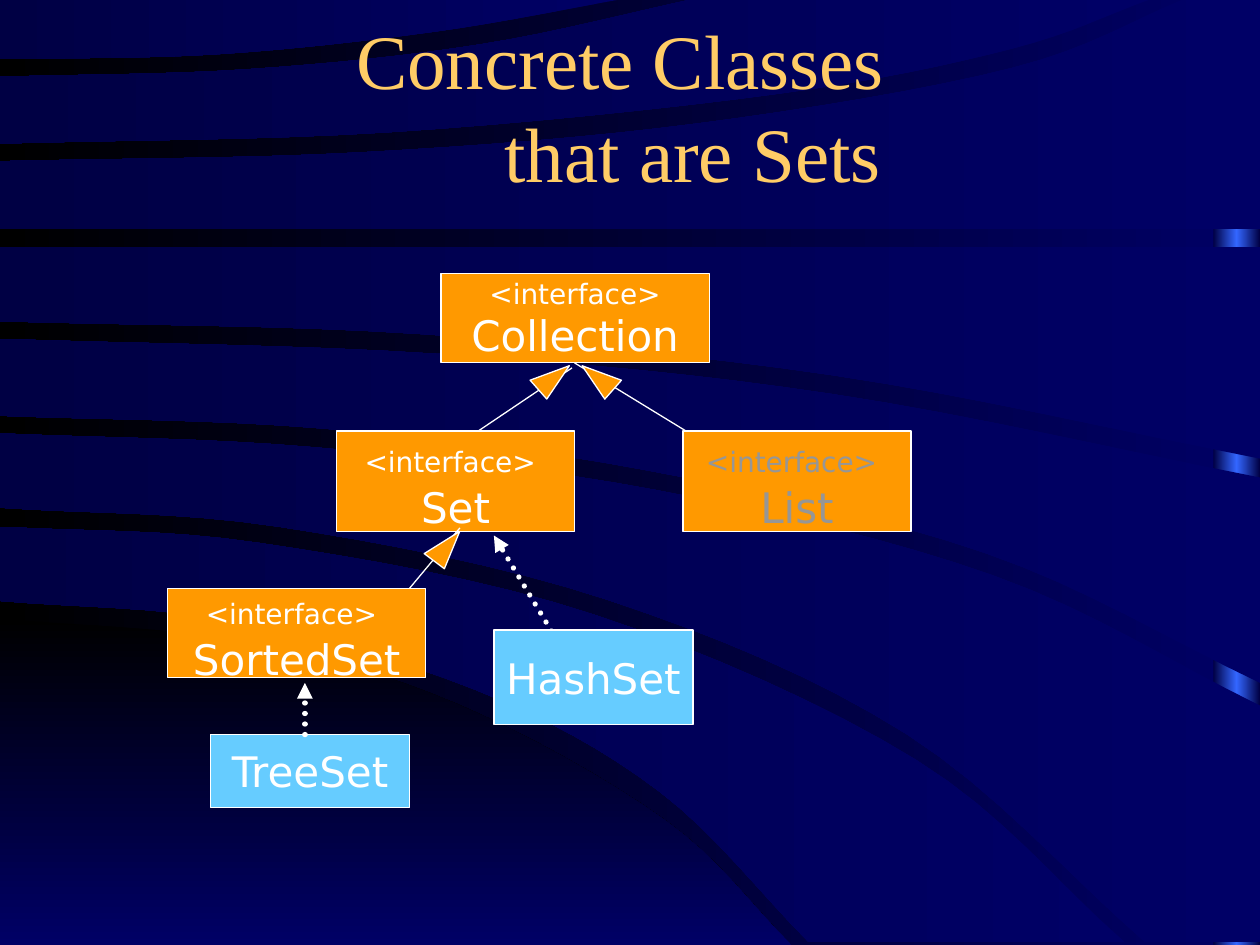
import copy
from dataclasses import dataclass

import pptx
import pptx.dml.color
import pptx.enum.dml
import pptx.enum.shapes
import pptx.enum.text
import pptx.oxml.ns
import pptx.util

Inches, Pt = pptx.util.Inches, pptx.util.Pt
SHAPE = pptx.enum.shapes.MSO_SHAPE
STRAIGHT = pptx.enum.shapes.MSO_CONNECTOR.STRAIGHT
CENTER = pptx.enum.text.PP_ALIGN.CENTER
MIDDLE = pptx.enum.text.MSO_ANCHOR.MIDDLE
rgb = pptx.dml.color.RGBColor.from_string
qn = pptx.oxml.ns.qn


@dataclass(frozen=True)
class Theme:
    navy: str = "000066"
    dark: str = "000044"
    black: str = "000000"
    glow: str = "3366FF"
    gold: str = "FFCC66"
    interface: str = "FF9900"
    concrete: str = "66CCFF"
    white: str = "FFFFFF"
    muted: str = "969696"
    serif: str = "Times New Roman"
    sans: str = "DejaVu Sans"
    title_size: int = 44
    name_size: int = 24
    label_size: int = 16
    thin: float = 0.75
    thick: float = 3


# Upper edge, lower edge and right-hand corners of each band, back to front
BANDS = [
    ([(0, 4.18), (2.06, 4.31), (4.72, 4.88), (7.27, 6.03), (8.93, 7.48)],
     [(0, 4.77), (1.85, 4.93), (3.76, 5.47), (5.23, 6.28), (6.42, 7.48)], []),
    ([(0, 3.44), (2.49, 3.55), (5.21, 3.89), (7.89, 4.57), (10, 5.6)],
     [(0, 4.03), (2.21, 4.18), (4.82, 4.76), (7.2, 5.83), (9.09, 7.48)], [(10, 7.48)]),
    ([(0, 2.69), (3.49, 2.81), (6.62, 3.13), (10, 3.79)],
     [(0, 3.3), (2.55, 3.4), (5.12, 3.73), (7.82, 4.39), (10, 5.42)], []),
    ([(0, 1.96), (10, 1.96)],
     [(0, 2.55), (3.32, 2.65), (6.62, 2.98), (10, 3.64)], []),
    ([(0, 1.28), (2.86, 1.21), (5.54, 0.98), (8.03, 0.54), (9.43, -0.02)],
     [(0, 1.82), (10, 1.82)], [(10, -0.02)]),
    ([(0, 0.61), (1.97, 0.55), (3.83, 0.35), (5.56, -0.02)],
     [(0, 1.14), (3.09, 1.05), (6.14, 0.75), (8.02, 0.39), (9.17, -0.02)], []),
    ([(0, -0.02), (5.01, -0.02)],
     [(0, 0.47), (1.73, 0.43), (3.46, 0.25), (5.01, -0.02)], []),
]
CORNER = ([(0, 4.91), (1.93, 5.09), (3.61, 5.58), (5.28, 6.51), (6.28, 7.5)],
          [(0, 7.5), (6.28, 7.5)], [])


def smooth(points, steps=8):
    """Catmull-Rom curve through the points, as a list of points."""
    def mirrored(end, near):
        return tuple(2 * e - n for e, n in zip(end, near))

    padded = [mirrored(points[0], points[1]), *points, mirrored(points[-1], points[-2])]
    curve = [points[0]]
    for quad in zip(padded, padded[1:], padded[2:], padded[3:]):
        for i in range(1, steps + 1):
            t = i / steps
            curve.append(tuple(
                b + t / 2 * (c - a + t * (2 * a - 5 * b + 4 * c - d
                                          + t * (3 * (b - c) + d - a)))
                for a, b, c, d in zip(*quad)))
    return curve


class SlideBuilder:
    def __init__(self, slide, theme):
        self.s, self.theme = slide, theme

    def gradient(self, fill, element, colors, angle=180):
        """Spread the colours evenly; element is the XML that holds the fill."""
        fill.gradient()
        fill.gradient_angle = angle
        stops = next(element.iter(qn("a:gsLst")))
        for _ in colors[2:]:
            stops.append(copy.deepcopy(stops[-1]))
        for i, (stop, color) in enumerate(zip(fill.gradient_stops, colors)):
            stop.position = i / (len(colors) - 1)
            stop.color.rgb = rgb(color)

    def background(self, colors):
        self.gradient(self.s.background.fill, self.s._element, colors)

    def preset(self, kind, x, y, w, h, color=None):
        sp = self.s.shapes.add_shape(kind, Inches(x), Inches(y), Inches(w), Inches(h))
        sp.shadow.inherit = False
        if color:
            sp.fill.solid()
            sp.fill.fore_color.rgb = rgb(color)
            sp.line.color.rgb = rgb(self.theme.white)
            sp.line.width = Pt(self.theme.thin)
        else:
            sp.line.fill.background()
        return sp

    def strip(self, x, y, w, h, colors):
        sp = self.preset(SHAPE.RECTANGLE, x, y, w, h)
        self.gradient(sp.fill, sp._element, colors)

    def band(self, upper, lower, corners, colors, angle=180):
        outline = smooth(lower) + corners + smooth(upper)[::-1]
        start, *rest = [(Inches(x), Inches(y)) for x, y in outline]
        builder = self.s.shapes.build_freeform(*start)
        builder.add_line_segments(rest, close=True)
        sp = builder.convert_to_shape()
        sp.shadow.inherit = False
        sp.line.fill.background()
        self.gradient(sp.fill, sp._element, colors, angle)

    def title(self, text, x, y, w, h):
        sp = self.s.shapes.title
        self.s.shapes._spTree.append(sp._element)  # in front of the backdrop
        sp.left, sp.top, sp.width, sp.height = map(Inches, (x, y, w, h))
        tf = sp.text_frame
        tf.text = text
        tf.vertical_anchor = MIDDLE
        p = tf.paragraphs[0]
        p.alignment = CENTER
        p.font.size, p.font.name = Pt(self.theme.title_size), self.theme.serif
        p.font.color.rgb = rgb(self.theme.gold)
        props = p._p.get_or_add_pPr()
        tabs = props.makeelement(qn("a:tabLst"), {})
        props.insert(0, tabs)
        for i in range(8):
            tabs.append(tabs.makeelement(
                qn("a:tab"), {"pos": str(int(Inches(i))), "algn": "l"}))

    def class_box(self, name, x, y, w, h, fill, label="", color=None, gap=""):
        """Box with a class name; gap is a space in the serif face after the label."""
        t = self.theme
        tf = self.preset(SHAPE.RECTANGLE, x, y, w, h, fill).text_frame
        tf.word_wrap, tf.vertical_anchor = False, MIDDLE
        p = tf.paragraphs[0]
        p.alignment = CENTER
        p.font.name, p.font.size = t.sans, Pt(t.name_size)
        p.font.color.rgb = rgb(color or t.white)
        if label:
            r = p.add_run()
            r.text, r.font.size = label, Pt(t.label_size)
            if gap:
                r = p.add_run()
                r.text, r.font.name = gap, t.serif
            p.add_line_break()
        p.add_run().text = name

    def line(self, start, end, width):
        c = self.s.shapes.add_connector(STRAIGHT, *map(Inches, start + end))
        c.line.color.rgb = rgb(self.theme.white)
        c.line.width = Pt(width)
        props = c._element.spPr
        props.append(props.makeelement(qn("a:effectLst"), {}))
        return c

    def extends(self, start, end, head, angle, adj=0.6):
        """Thin line with a large triangle centred on head."""
        self.line(start, end, self.theme.thin)
        w, h = 0.2, 0.31
        sp = self.preset(SHAPE.ISOSCELES_TRIANGLE, head[0] - w / 2, head[1] - h / 2,
                         w, h, self.theme.interface)
        sp.rotation, sp.adjustments[0] = angle, adj

    def implements(self, start, end):
        c = self.line(start, end, self.theme.thick)
        c.line.dash_style = pptx.enum.dml.MSO_LINE.ROUND_DOT
        ln = c._element.spPr.find(qn("a:ln"))
        ln.set("cap", "rnd")
        ln.append(ln.makeelement(qn("a:tailEnd"), {"type": "triangle"}))


def main():
    prs = pptx.Presentation()
    prs.slide_width, prs.slide_height = Inches(10), Inches(7.5)
    t = Theme()
    b = SlideBuilder(prs.slides.add_slide(prs.slide_layouts[5]), t)

    b.background([t.navy, t.black])
    b.strip(9.63, 0, 0.37, 7.5, [t.dark, t.glow, t.dark])
    b.band(*CORNER, [t.black, t.navy], 270)
    for band in BANDS:
        b.band(*band, [t.navy, t.dark])

    b.extends((5.77, 3.62), (4.56, 2.88), (4.75, 2.99), 311.4, 0.4)
    b.extends((3.5, 3.62), (4.54, 2.92), (4.39, 2.99), 48.6)
    b.title("Concrete Classes \v\tthat are Sets", 0.75, 0.42, 8.5, 0.83)
    label = "<interface>"
    b.class_box("Collection", 3.5, 2.17, 2.13, 0.71, t.interface, label)
    b.class_box("Set", 2.67, 3.42, 1.89, 0.8, t.interface, label, gap=" ")
    b.class_box("List", 5.42, 3.42, 1.81, 0.8, t.interface, label, t.muted, " ")
    b.class_box("SortedSet", 1.33, 4.67, 2.05, 0.71, t.interface, label, gap=" ")
    b.extends((3.25, 4.67), (3.65, 4.19), (3.54, 4.33), 36.9)
    b.class_box("TreeSet", 1.67, 5.83, 1.58, 0.58, t.concrete)
    b.implements((4.42, 5.08), (3.92, 4.25))
    b.implements((2.42, 5.83), (2.42, 5.42))
    b.class_box("HashSet", 3.92, 5, 1.58, 0.75, t.concrete)
    prs.save("out.pptx")


if __name__ == "__main__":
    main()
